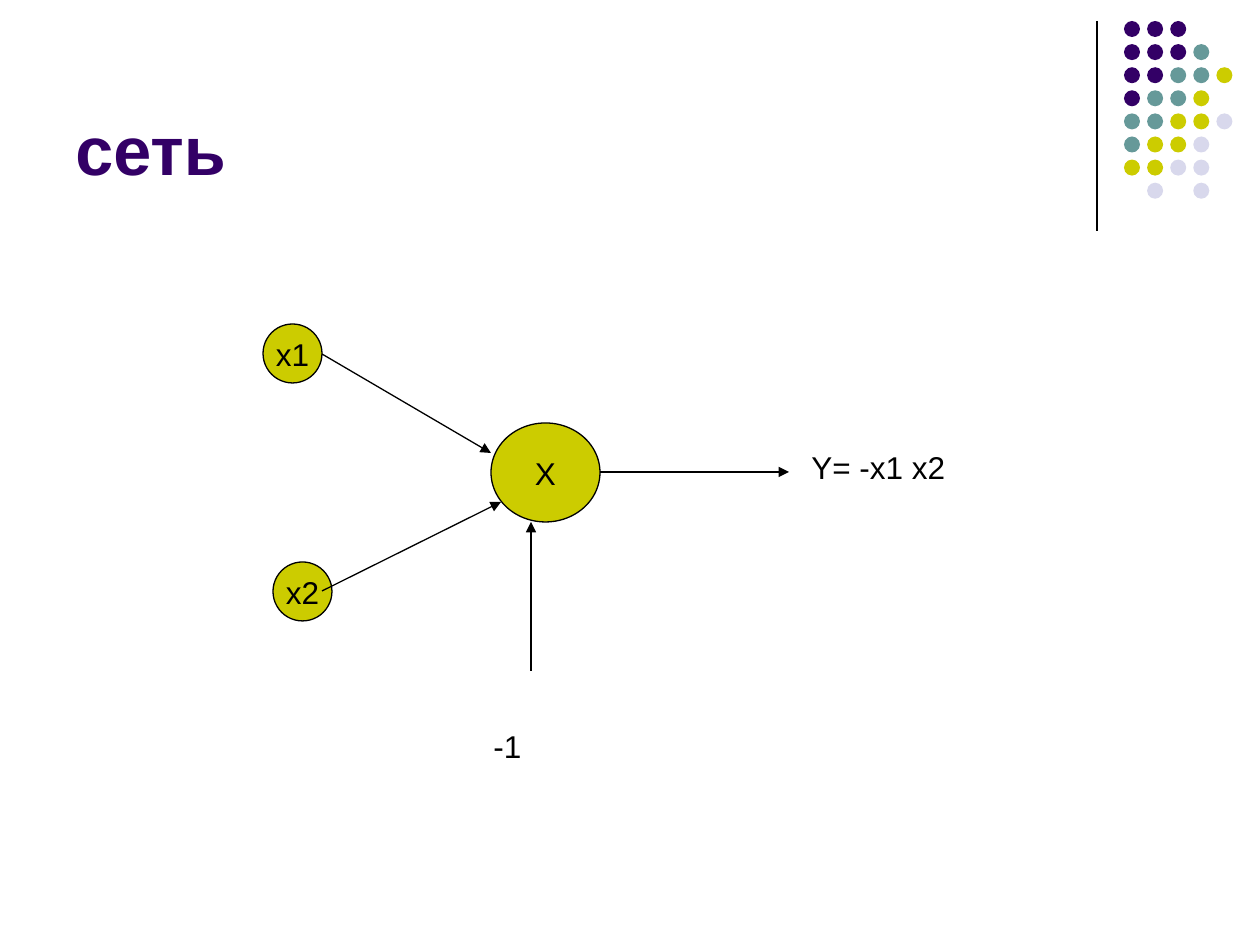
from lxml import etree
from pptx import Presentation
from pptx import util as u
from pptx.dml.color import RGBColor
from pptx.enum import shapes, text
from pptx.oxml.ns import qn

PX = 914400 / 126
BLACK = RGBColor(0x00, 0x00, 0x00)
PURPLE = RGBColor(0x33, 0x00, 0x66)
TEAL = RGBColor(0x66, 0x99, 0x99)
OLIVE = RGBColor(0xCC, 0xCC, 0x00)
LILAC = RGBColor(0xD8, 0xD8, 0xEC)


def emu(*pixels):
    return [round(value * PX) for value in pixels]


def add_run(shape, words, size=18, color=BLACK, bold=False):
    run = shape.text_frame.paragraphs[0].add_run()
    run.text = words
    run.font.name = "Arial"
    run.font.size = u.Pt(size)
    run.font.color.rgb = color
    run.font.bold = bold


presentation = Presentation()
presentation.slide_width, presentation.slide_height = emu(1260, 945)
slide = presentation.slides.add_slide(presentation.slide_layouts[6])

# Corner dots: one letter per colour, a space leaves a gap
DOT_COLORS = {"P": PURPLE, "T": TEAL, "O": OLIVE, "L": LILAC}
DOT_ROWS = ["PPP", "PPPT", "PPTTO", "PTTO", "TTOOL", "TOOL", "OOLL", " L L"]
DOT_LEFT, DOT_TOP, DOT_SIZE, DOT_STEP = 1124, 21, 16, 23.1
for row, letters in enumerate(DOT_ROWS):
    for column, letter in enumerate(letters):
        if letter == " ":
            continue
        dot = slide.shapes.add_shape(
            shapes.MSO_SHAPE.OVAL,
            *emu(DOT_LEFT + column * DOT_STEP, DOT_TOP + row * DOT_STEP, DOT_SIZE, DOT_SIZE))
        dot.shadow.inherit = False
        dot.fill.solid()
        dot.fill.fore_color.rgb = DOT_COLORS[letter]
        dot.line.fill.background()

# Title and labels
title = slide.shapes.add_textbox(*emu(63, 16, 1040, 179))
title.text_frame.word_wrap = True
title.text_frame.vertical_anchor = text.MSO_ANCHOR.BOTTOM
add_run(title, "сеть", 39, PURPLE, True)

for words, box in [("-1", (481, 721, 118, 50)), ("Y= -x1 x2", (799, 442, 348, 50))]:
    label = slide.shapes.add_textbox(*emu(*box))
    label.text_frame.word_wrap = True
    add_run(label, words)

# Network nodes
for words, box in [("х1", (263, 324, 59, 59)),
                   ("х2", (273, 562, 59, 59)),
                   ("Х", (491, 423, 109, 99))]:
    node = slide.shapes.add_shape(shapes.MSO_SHAPE.OVAL, *emu(*box))
    node.shadow.inherit = False
    node.fill.solid()
    node.fill.fore_color.rgb = OLIVE
    node.line.color.rgb = BLACK
    node.line.width = u.Pt(0.75)
    node.text_frame.word_wrap = False
    node.text_frame.vertical_anchor = text.MSO_ANCHOR.MIDDLE
    node.text_frame.paragraphs[0].alignment = text.PP_ALIGN.CENTER
    add_run(node, words)

# Corner rule (plain) and network arrows
for ends, has_arrow in [((1097, 21, 1097, 231), False),
                        ((322, 591, 501, 502), True),
                        ((322, 354, 491, 453), True),
                        ((531, 671, 531, 522), True),
                        ((600, 472, 789, 472), True)]:
    line = slide.shapes.add_connector(shapes.MSO_CONNECTOR.STRAIGHT, *emu(*ends))
    line.line.color.rgb = BLACK
    line.line.width = u.Pt(0.75)
    if has_arrow:
        etree.SubElement(line.line._get_or_add_ln(), qn("a:tailEnd"), type="triangle")
    etree.SubElement(line._element.spPr, qn("a:effectLst"))

presentation.save("out.pptx")
